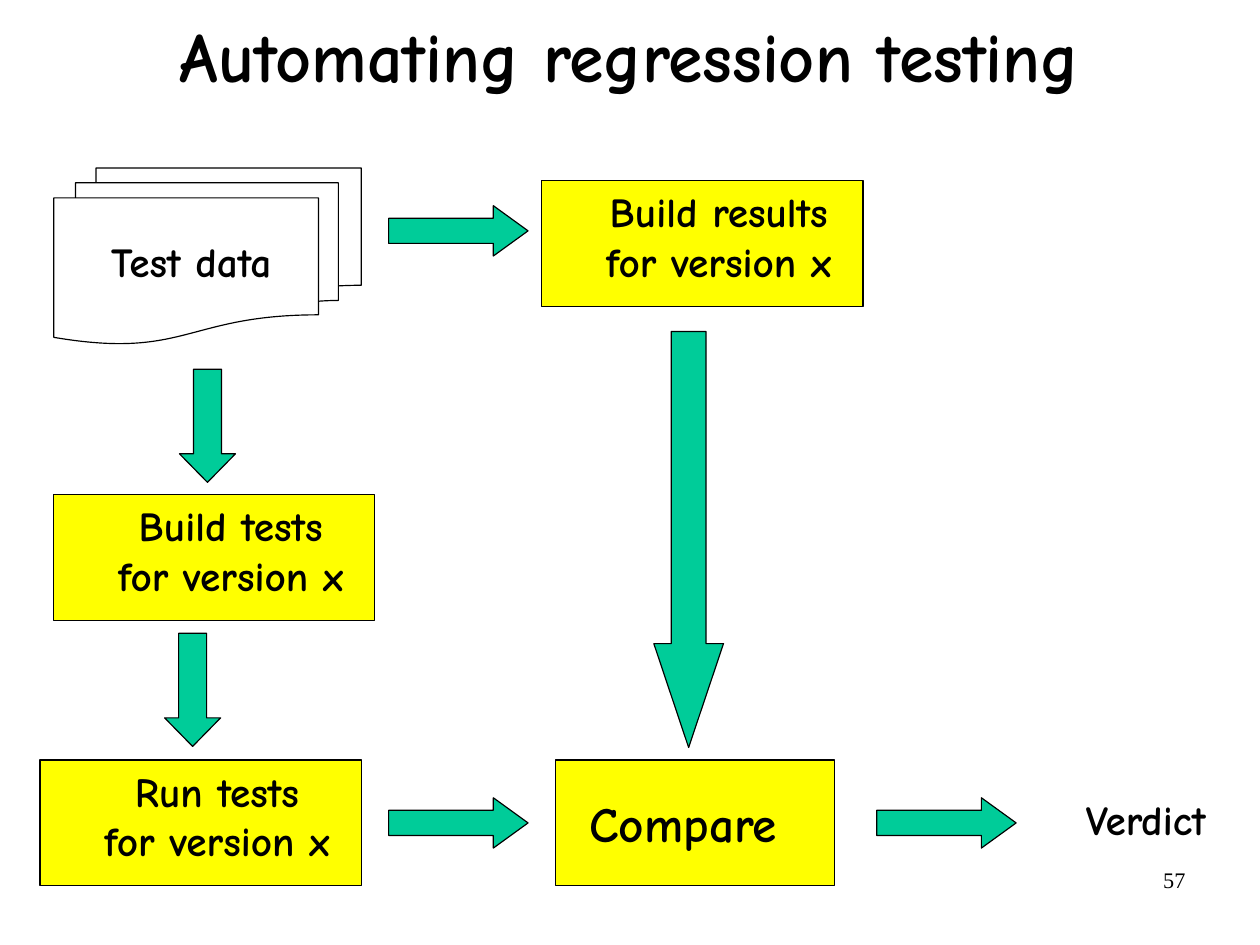
from pptx import Presentation
from pptx.dml.color import RGBColor
from pptx.enum.shapes import MSO_SHAPE
from pptx.enum.text import MSO_ANCHOR, PP_ALIGN
from pptx.util import Cm, Pt

PX = 9144  # EMU per px, 100 px to the inch
BLACK = RGBColor(0x00, 0x00, 0x00)
YELLOW = RGBColor(0xFF, 0xFF, 0x00)
GREEN = RGBColor(0x00, 0xCC, 0x99)
HEADING_FONT = "Comic Neue"
NUMBER_FONT = "Times New Roman"


def emu(*lengths):
    return [length * PX for length in lengths]


def write(frame, wording, size, font=HEADING_FONT, bold=True,
          align=PP_ALIGN.CENTER, wrap=True, insets=(11, 6)):
    frame.word_wrap = wrap
    frame.margin_left = frame.margin_right = insets[0] * PX
    frame.margin_top = frame.margin_bottom = insets[1] * PX
    paragraph = frame.paragraphs[0]
    paragraph.text = wording
    paragraph.alignment = align
    paragraph.font.size = Pt(size)
    paragraph.font.name = font
    paragraph.font.bold = bold
    paragraph.font.color.rgb = BLACK
    return paragraph


def add_label(slide, box, wording, size=26, **options):
    label = slide.shapes.add_textbox(*emu(*box))
    write(label.text_frame, wording, size, **options)


def add_outlined(slide, preset, box, fill=None):
    outlined = slide.shapes.add_shape(preset, *emu(*box))
    outlined.shadow.inherit = False
    if fill is None:
        outlined.fill.background()
    else:
        outlined.fill.solid()
        outlined.fill.fore_color.rgb = fill
    outlined.line.color.rgb = BLACK
    outlined.line.width = Pt(0.75)
    return outlined


def add_heading(slide, box, wording):
    title = slide.shapes.title
    title.left, title.top, title.width, title.height = emu(*box)
    title.text_frame.vertical_anchor = MSO_ANCHOR.MIDDLE
    write(title.text_frame, wording, 44).line_spacing = 0.88


def add_test_data(slide, box):
    left, top, width, height = box
    add_outlined(slide, MSO_SHAPE.FLOWCHART_MULTIDOCUMENT, box)
    add_label(slide, (left + 24, top + 54, width - 76, 54), "Test data")


def add_build_step(slide, box, wording):
    left, top, width, height = box
    add_outlined(slide, MSO_SHAPE.RECTANGLE, box, YELLOW)
    add_label(slide, (left + 45, top - 1, width - 61, height - 12), wording, wrap=False)


def add_comparison(slide, box):
    left, top, width, height = box
    add_outlined(slide, MSO_SHAPE.RECTANGLE, box, YELLOW)
    add_label(slide, (left + 18, top + 23, width - 57, 63), "Compare", 31, wrap=False)


def add_arrow(slide, preset, box, head):
    arrow = add_outlined(slide, preset, box, GREEN)
    arrow.adjustments[0] = 0.5
    arrow.adjustments[1] = head


def main():
    deck = Presentation()
    deck.slide_width, deck.slide_height = Cm(28), Cm(21)
    slide = deck.slides.add_slide(deck.slide_layouts[5])

    # Title and slide number
    add_heading(slide, (55, -54, 992, 214), "Automating regression testing")
    add_label(slide, (790, 753, 257, 57), "57", 14, font=NUMBER_FONT, bold=False,
              align=PP_ALIGN.RIGHT, insets=(10, 5))

    # Steps of the process
    add_test_data(slide, (47, 147, 269, 154))
    for left, top, step in ((47, 433, "Build tests"),
                            (35, 665, "Run tests"),
                            (474, 158, "Build results")):
        add_build_step(slide, (left, top, 281, 110), f"{step}\nfor version x")
    add_comparison(slide, (486, 665, 244, 110))
    add_label(slide, (938, 689, 129, 54), "Verdict", wrap=False)

    # Arrows between the steps
    for left, top in ((340, 180), (340, 698), (767, 698)):
        add_arrow(slide, MSO_SHAPE.RIGHT_ARROW, (left, top, 122, 44), 0.69)
    for box, head in (((157, 323, 49, 99), 0.51),
                      ((144, 554, 49, 99), 0.51),
                      ((572, 290, 61, 364), 1.49)):
        add_arrow(slide, MSO_SHAPE.DOWN_ARROW, box, head)

    deck.save("out.pptx")


if __name__ == "__main__":
    main()
